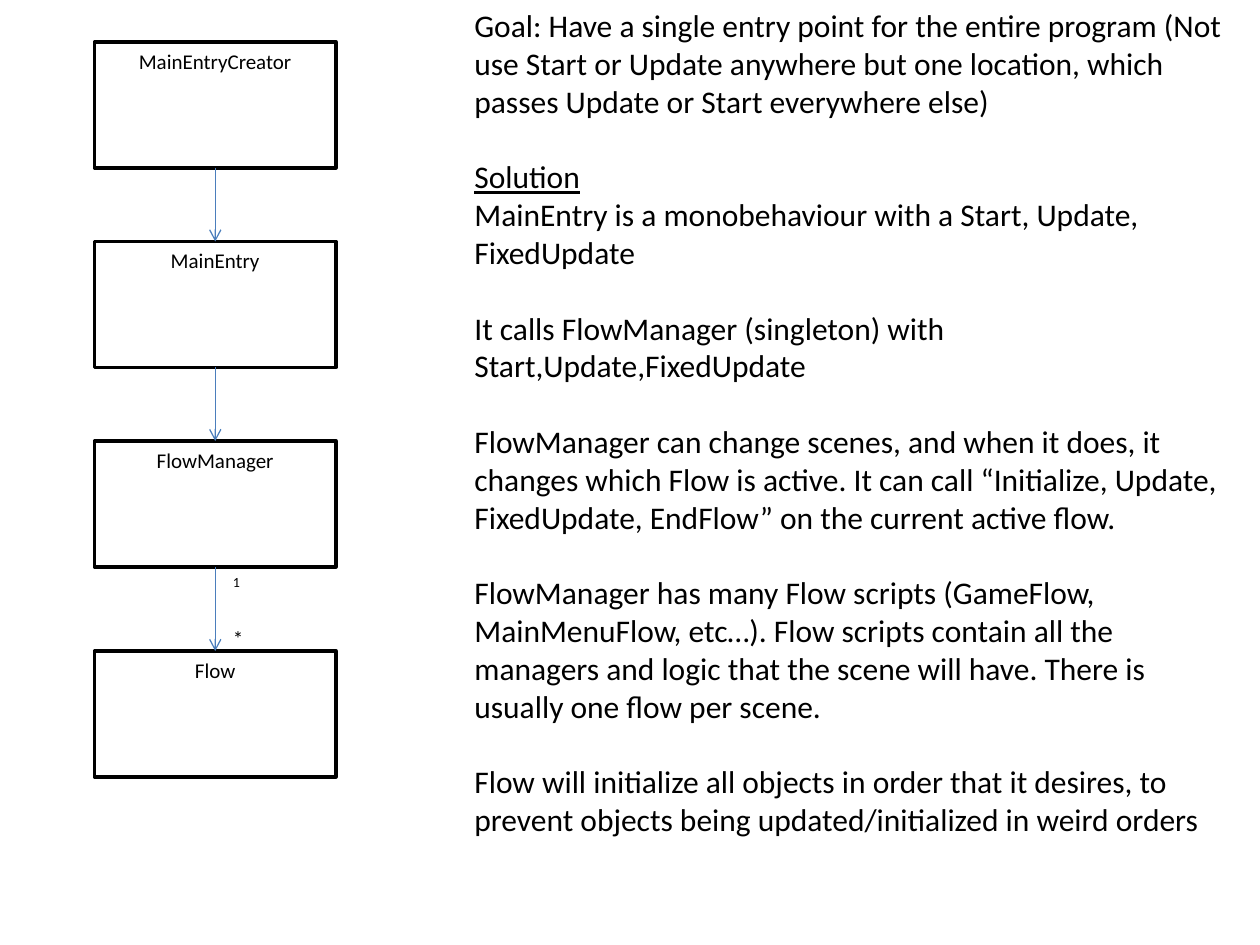
from lxml import etree
from pptx import Presentation
from pptx import util as u
from pptx.dml.color import RGBColor
from pptx.enum import shapes, text
from pptx.oxml.ns import qn

COLUMNS, ROWS = 120, 90
BLACK, WHITE, BLUE = "000000", "FFFFFF", "4B7EBC"


def color(value):
    return RGBColor.from_string(value)


class FlowSlide:
    """Holds the style and the current slide; lengths are grid columns and rows."""
    font = "Calibri"

    def __init__(self, presentation):
        self.slide = presentation.slides.add_slide(presentation.slide_layouts[6])
        self.column = presentation.slide_width / COLUMNS
        self.row = presentation.slide_height / ROWS

    def place(self, x, y):
        return round(x * self.column), round(y * self.row)

    def add_words(self, paragraph, words, size, underline=False):
        run = paragraph.add_run()
        run.text = words
        run.font.name = self.font
        run.font.size = u.Pt(size)
        run.font.color.rgb = color(BLACK)
        if underline:
            run.font.underline = True

    def box(self, x, y, width, height, label):
        shape = self.slide.shapes.add_shape(
            shapes.MSO_SHAPE.RECTANGLE, *self.place(x, y), *self.place(width, height))
        shape.shadow.inherit = False
        shape.fill.solid()
        shape.fill.fore_color.rgb = color(WHITE)
        shape.line.color.rgb = color(BLACK)
        shape.line.width = u.Pt(2)
        shape.text_frame.vertical_anchor = text.MSO_ANCHOR.TOP
        paragraph = shape.text_frame.paragraphs[0]
        paragraph.alignment = text.PP_ALIGN.CENTER
        self.add_words(paragraph, label, 12)

    def arrow(self, x, top, bottom):
        connector = self.slide.shapes.add_connector(
            shapes.MSO_CONNECTOR.STRAIGHT, *self.place(x, top), *self.place(x, bottom))
        connector.line.color.rgb = color(BLUE)
        connector.line.width = u.Pt(0.75)
        properties = connector._element.spPr
        etree.SubElement(properties.find(qn("a:ln")), qn("a:tailEnd"), type="arrow")
        etree.SubElement(properties, qn("a:effectLst"))

    def textbox(self, x, y, width, height, paragraphs, size, wrap=True):
        """Each paragraph is (words, underlined, space before in points)."""
        shape = self.slide.shapes.add_textbox(
            *self.place(x, y), *self.place(width, height))
        frame = shape.text_frame
        frame.word_wrap = wrap
        frame.auto_size = text.MSO_AUTO_SIZE.SHAPE_TO_FIT_TEXT
        for index, (words, underline, gap) in enumerate(paragraphs):
            paragraph = frame.add_paragraph() if index else frame.paragraphs[0]
            paragraph.space_before = u.Pt(gap)
            self.add_words(paragraph, words, size, underline)


presentation = Presentation()
presentation.slide_width, presentation.slide_height = u.Inches(10), u.Inches(7.5)
flow = FlowSlide(presentation)

# Class boxes, each joined to the one above
LEFT, WIDTH, HEIGHT = 9, 23, 12
classes = [("MainEntryCreator", 4), ("MainEntry", 23), ("FlowManager", 42), ("Flow", 62)]
for name, top in classes:
    flow.box(LEFT, top, WIDTH, HEIGHT, name)
for (_, above), (_, below) in zip(classes, classes[1:]):
    flow.arrow(LEFT + WIDTH / 2, above + HEIGHT, below)

# Goal and solution
GAP = 21.6
notes = [
    ("Goal: Have a single entry point for the entire program (Not use Start or Update "
     "anywhere but one location, which passes Update or Start everywhere else)", False, 0),
    ("Solution", True, GAP),
    ("MainEntry is a monobehaviour with a Start, Update, FixedUpdate", False, 0),
    ("It calls FlowManager (singleton) with Start,Update,FixedUpdate", False, GAP),
    ("FlowManager can change scenes, and when it does, it changes which Flow is active. "
     "It can call “Initialize, Update, FixedUpdate, EndFlow” on the current active flow.",
     False, GAP),
    ("FlowManager has many Flow scripts (GameFlow, MainMenuFlow, etc…). Flow scripts "
     "contain all the managers and logic that the scene will have. There is usually one "
     "flow per scene.", False, GAP),
    ("Flow will initialize all objects in order that it desires, to prevent objects being "
     "updated/initialized in weird orders", False, GAP),
]
flow.textbox(44, 0, 75, 88.4, notes, 18)

# Multiplicity of the last arrow
flow.textbox(21, 59, 3.5, 3.6, [("*", False, 0)], 12, wrap=False)
flow.textbox(21, 54, 3.1, 2.9, [("1", False, 0)], 8, wrap=False)

presentation.save("out.pptx")
